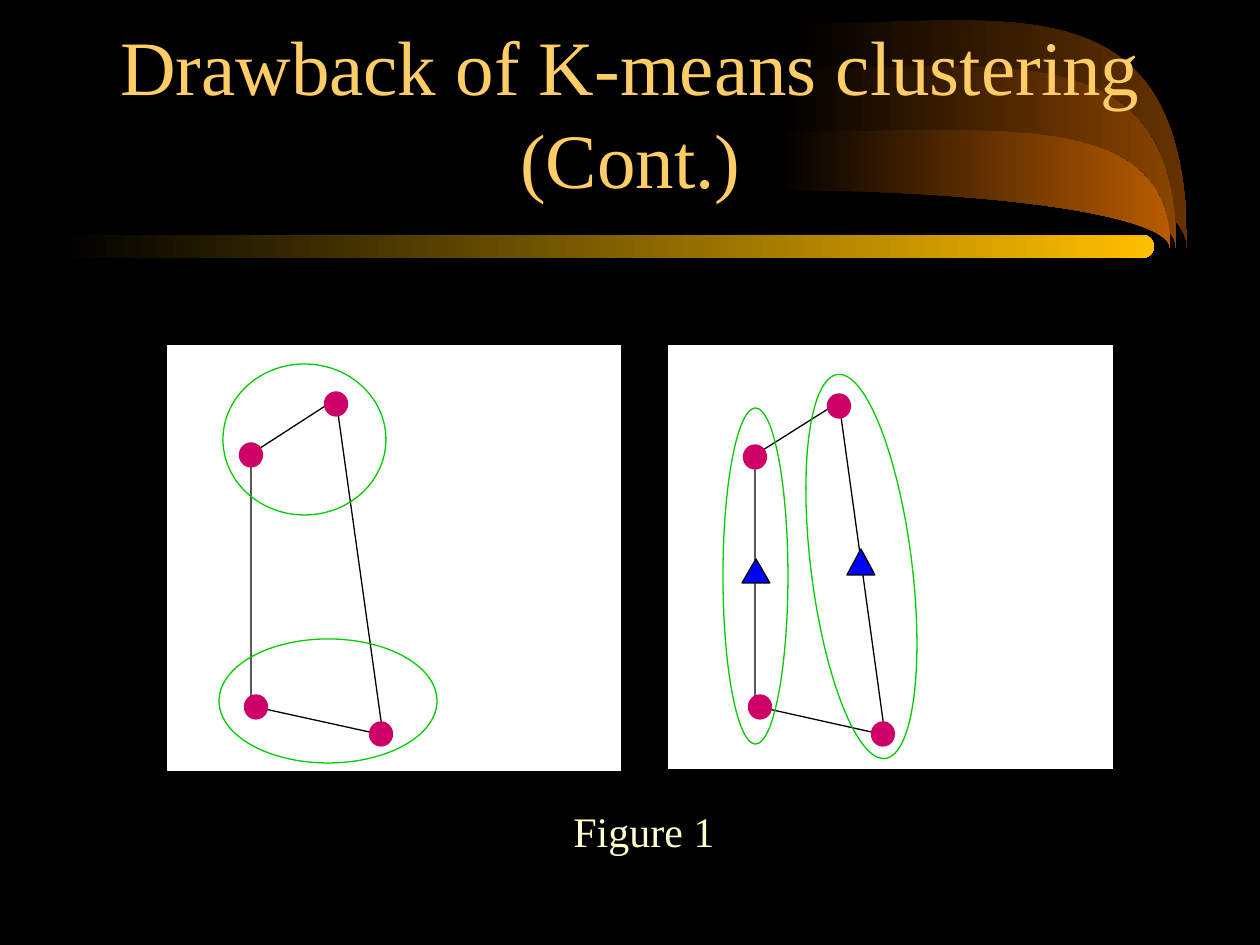
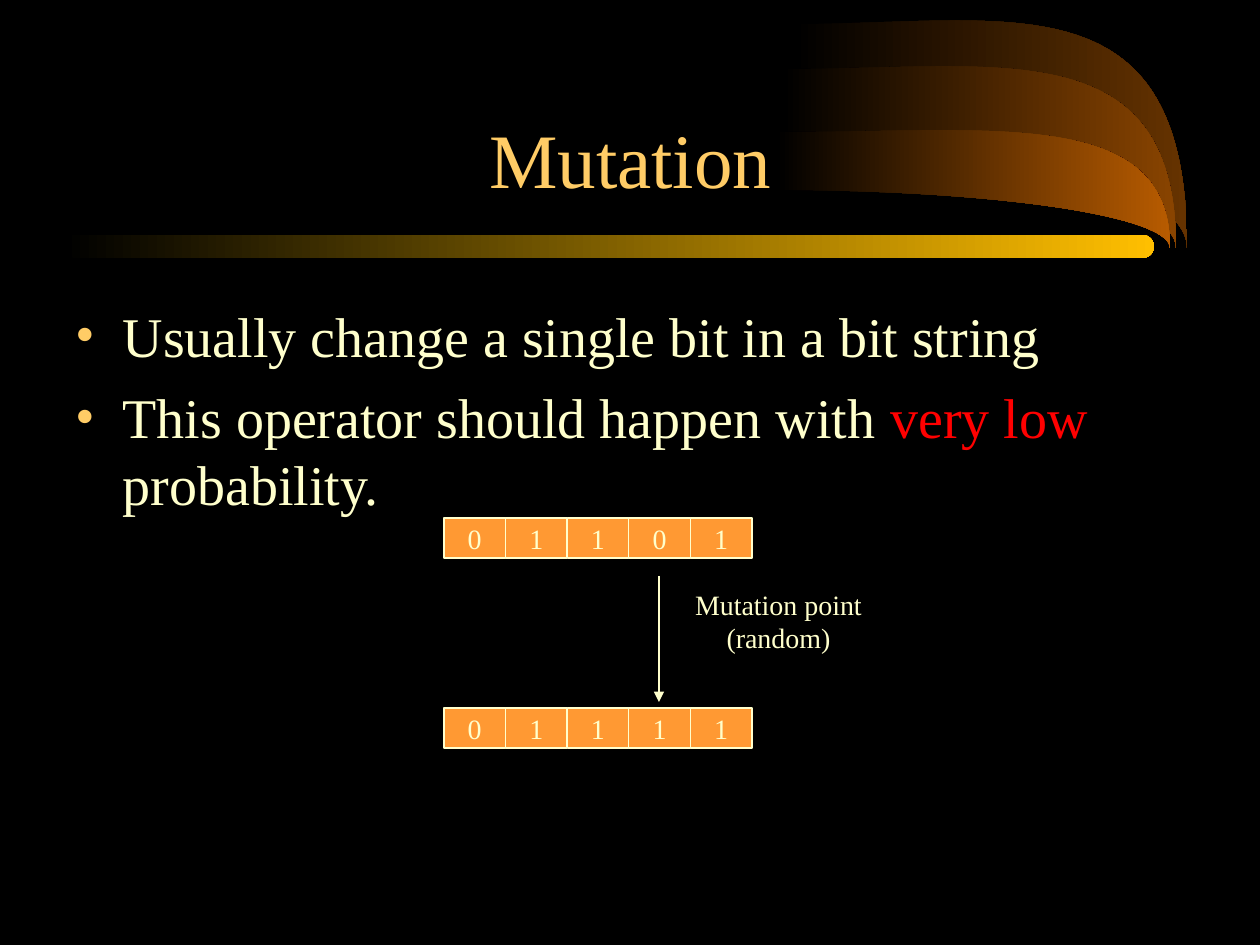
from lxml import etree
from pptx import Presentation
from pptx.dml.color import RGBColor
from pptx.enum.shapes import MSO_CONNECTOR, MSO_SHAPE
from pptx.enum.text import MSO_ANCHOR, MSO_AUTO_SIZE, PP_ALIGN
from pptx.oxml.ns import qn
from pptx.util import Pt

RECT, ROUND_RECT = MSO_SHAPE.RECTANGLE, MSO_SHAPE.ROUNDED_RECTANGLE
OVAL, TRIANGLE = MSO_SHAPE.OVAL, MSO_SHAPE.ISOSCELES_TRIANGLE
STRAIGHT = MSO_CONNECTOR.STRAIGHT
LEFT, CENTER = PP_ALIGN.LEFT, PP_ALIGN.CENTER
TOP, MIDDLE, BOTTOM = MSO_ANCHOR.TOP, MSO_ANCHOR.MIDDLE, MSO_ANCHOR.BOTTOM
NO_FIT, GROW = MSO_AUTO_SIZE.NONE, MSO_AUTO_SIZE.SHAPE_TO_FIT_TEXT

FONT = "Times New Roman"
EMU_PER_PX = 914400 / 126
TITLE_ONLY, TITLE_AND_BODY = 5, 1
COLORS = {
    "black": "000000", "white": "FFFFFF", "title": "FFCC66", "text": "FFFFCC",
    "red": "FF0000", "point": "CC0066", "ring": "00CC00", "centroid": "0000FF",
    "cell": "FF9933", "bar": "FFBF00",
    "swoosh_back": "663300", "swoosh_middle": "894400", "swoosh_front": "B75B00",
}

# Left, top, lower edge and colour of each swoosh, from back to front
SWOOSHES = [
    (793, 24, 137, "swoosh_back"),
    (782, 69, 160, "swoosh_middle"),
    (776, 132, 190, "swoosh_front"),
]
SWOOSH_WIDTH, SWOOSH_REACH, SWOOSH_TIP = 394, 218, 248

POINT_SIZE = (23, 24)
CLUSTERINGS = [
    {
        "panel": (166, 344, 456, 428),
        "outline": [(251, 706), (251, 454), (336, 399), (383, 735)],
        "points": [(256, 707), (381, 734), (336, 404), (251, 455)],
        "centroids": [],
        "rings": [(219, 639, 218, 124, 0), (223, 364, 163, 151, 0)],
    },
    {
        "panel": (667, 344, 447, 426),
        "outline": [(755, 706), (755, 455), (839, 402), (885, 735)],
        "points": [(760, 707), (883, 734), (839, 406), (755, 457)],
        "centroids": [(742, 559, 28, 24), (847, 549, 28, 26)],
        "rings": [(723, 408, 65, 336, 0), (811, 373, 101, 387, -7.1)],
    },
]

ROW_LEFT, ROW_WIDTH, ROW_HEIGHT = 444, 308, 40
BIT_ROWS = [(518, "01101"), (708, "01111")]


def px(*lengths):
    return [round(length * EMU_PER_PX) for length in lengths]


def rgb(name):
    return RGBColor.from_string(COLORS[name])


def set_values(target, values):
    for name, value in values.items():
        setattr(target, name, value)


def paint(shape, fill=None, line=None):
    shape.shadow.inherit = False
    if fill:
        shape.fill.solid()
        shape.fill.fore_color.rgb = rgb(fill)
    else:
        shape.fill.background()
    if line:
        shape.line.color.rgb = rgb(line)
        shape.line.width = Pt(0.75)
    else:
        shape.line.fill.background()
    return shape


def fade_from_black(shape, color):
    paint(shape)
    shape.fill.gradient()
    shape.fill.gradient_angle = 0
    for stop, name in zip(shape.fill.gradient_stops, ("black", color)):
        stop.color.rgb = rgb(name)
    return shape


def add_figure(shapes, kind, box, fill=None, line=None):
    return paint(shapes.add_shape(kind, *px(*box)), fill, line)


def add_polygon(shapes, corners):
    points = [px(*corner) for corner in corners]
    builder = shapes.build_freeform(*points[0])
    builder.add_line_segments(points[1:], close=True)
    return builder.convert_to_shape()


def style_span(span, size, color):
    set_values(span.font, {"name": FONT, "size": Pt(size)})
    span.font.color.rgb = rgb(color)


def write(shape, lines, size, color="text", align=LEFT, **frame_format):
    frame = shape.text_frame
    set_values(frame, frame_format)
    for index, line in enumerate(lines):
        para = frame.add_paragraph() if index else frame.paragraphs[0]
        para.text = line
        para.alignment = align
        for span in para.runs:
            style_span(span, size, color)


def place(shape, box):
    set_values(shape, dict(zip(("left", "top", "width", "height"), px(*box))))


def add_slide(deck, layout, title):
    slide = deck.slides.add_slide(deck.slide_layouts[layout])
    place(slide.shapes.title, (95, 53, 1071, 157))
    write(slide.shapes.title, [title], 44, "title", CENTER,
          vertical_anchor=BOTTOM, auto_size=NO_FIT, word_wrap=True)
    return slide


def add_label(slide, box, lines, size, align=LEFT):
    label = slide.shapes.add_textbox(*px(*box))
    write(label, lines, size, align=align, word_wrap=False, auto_size=GROW)


def bend_sides(shape, curves):
    """Turn each leading three sides of a polygon into one cubic curve."""
    sides = list(shape.element.iter(qn("a:lnTo")))
    for first in range(0, 3 * curves, 3):
        cubic = etree.Element(qn("a:cubicBezTo"))
        sides[first].addprevious(cubic)
        for side in sides[first:first + 3]:
            cubic.append(side[0])
            side.getparent().remove(side)


def add_swoosh(shapes, left, top, lower, color):
    middle, right = left + SWOOSH_REACH, left + SWOOSH_WIDTH
    lift = (SWOOSH_TIP - lower) * 0.445
    swoosh = add_polygon(shapes, [
        (left, lower),
        (middle, lower), (right, lower + lift), (right, SWOOSH_TIP),
        (right, top - lift), (middle, top), (left, top),
    ])
    bend_sides(swoosh, 2)
    return fade_from_black(swoosh, color)


def decorate_master(deck, slide):
    """Draw the shared decoration, then hand it to the slide master."""
    master = deck.slide_master
    master.background.fill.solid()
    master.background.fill.fore_color.rgb = rgb("black")
    parts = [add_swoosh(slide.shapes, *swoosh) for swoosh in SWOOSHES]
    bar = slide.shapes.add_shape(ROUND_RECT, *px(63, 235, 1091, 23))
    bar.adjustments[0] = 0.5
    parts.append(fade_from_black(bar, "bar"))
    for number, part in enumerate(parts, 100):
        part.element.nvSpPr.cNvPr.id = number
        master.shapes.element.append(part.element)


def add_clustering(slide, clustering):
    shapes = slide.shapes
    add_figure(shapes, RECT, clustering["panel"], "white", "black")
    paint(add_polygon(shapes, clustering["outline"]), line="black")
    width, height = POINT_SIZE
    for x, y in clustering["points"]:
        box = (x - width / 2, y - height / 2, width, height)
        add_figure(shapes, OVAL, box, "point", "point")
    for box in clustering["centroids"]:
        add_figure(shapes, TRIANGLE, box, "centroid", "black")
    for *box, angle in clustering["rings"]:
        add_figure(shapes, OVAL, box, line="ring").rotation = angle


def add_bullets(slide, box, bullets):
    body = slide.placeholders[1]
    place(body, box)
    frame = body.text_frame
    set_values(frame, {"auto_size": NO_FIT, "word_wrap": True, "vertical_anchor": TOP})
    for index, spans in enumerate(bullets):
        para = frame.add_paragraph() if index else frame.paragraphs[0]
        para.space_before = Pt(8)
        for text, color in spans:
            span = para.add_run()
            span.text = text
            style_span(span, 32, color)
        # Hanging indent and coloured bullet
        props = para._p.get_or_add_pPr()
        indent = px(47)[0]
        props.set("marL", str(indent))
        props.set("indent", str(-indent))
        tint = etree.SubElement(props, qn("a:buClr"))
        etree.SubElement(tint, qn("a:srgbClr"), val=COLORS["title"])
        etree.SubElement(props, qn("a:buFont"), typeface=FONT)
        etree.SubElement(props, qn("a:buChar"), char="•")


def add_bit_row(slide, top, bits):
    row = slide.shapes.add_group_shape()
    width = ROW_WIDTH / len(bits)
    for index, bit in enumerate(bits):
        box = (ROW_LEFT + index * width, top, width, ROW_HEIGHT)
        cell = add_figure(row.shapes, RECT, box, "cell", "text")
        write(cell, [bit], 16, align=CENTER, vertical_anchor=MIDDLE, word_wrap=False)


def add_arrow(slide, start, end):
    arrow = slide.shapes.add_connector(STRAIGHT, *px(*start, *end))
    arrow.line.color.rgb = rgb("text")
    arrow.line.width = Pt(1.5)
    etree.SubElement(arrow.line._get_or_add_ln(), qn("a:tailEnd"), type="triangle")
    etree.SubElement(arrow._element.spPr, qn("a:effectLst"))


def main():
    deck = Presentation()
    deck.slide_width, deck.slide_height = px(1260, 945)

    # Two ways to cluster the same four points
    drawback = add_slide(deck, TITLE_ONLY, "Drawback of K-means clustering\n(Cont.)")
    decorate_master(deck, drawback)
    for clustering in CLUSTERINGS:
        add_clustering(drawback, clustering)
    add_label(drawback, (561, 799, 166, 63), ["Figure 1"], 24)

    # Bit string before and after mutation
    mutation = add_slide(deck, TITLE_AND_BODY, "Mutation")
    add_bullets(mutation, (63, 295, 1155, 541), [
        [("Usually change a single bit in a bit string", "text")],
        [("This operator should happen with ", "text"), ("very low ", "red"),
         ("probability.", "text")],
    ])
    for top, bits in BIT_ROWS:
        add_bit_row(mutation, top, bits)
    add_arrow(mutation, (659, 576), (659, 702))
    add_label(mutation, (681, 581, 195, 81), ["Mutation point", "(random)"], 16, CENTER)

    deck.save("out.pptx")


if __name__ == "__main__":
    main()
